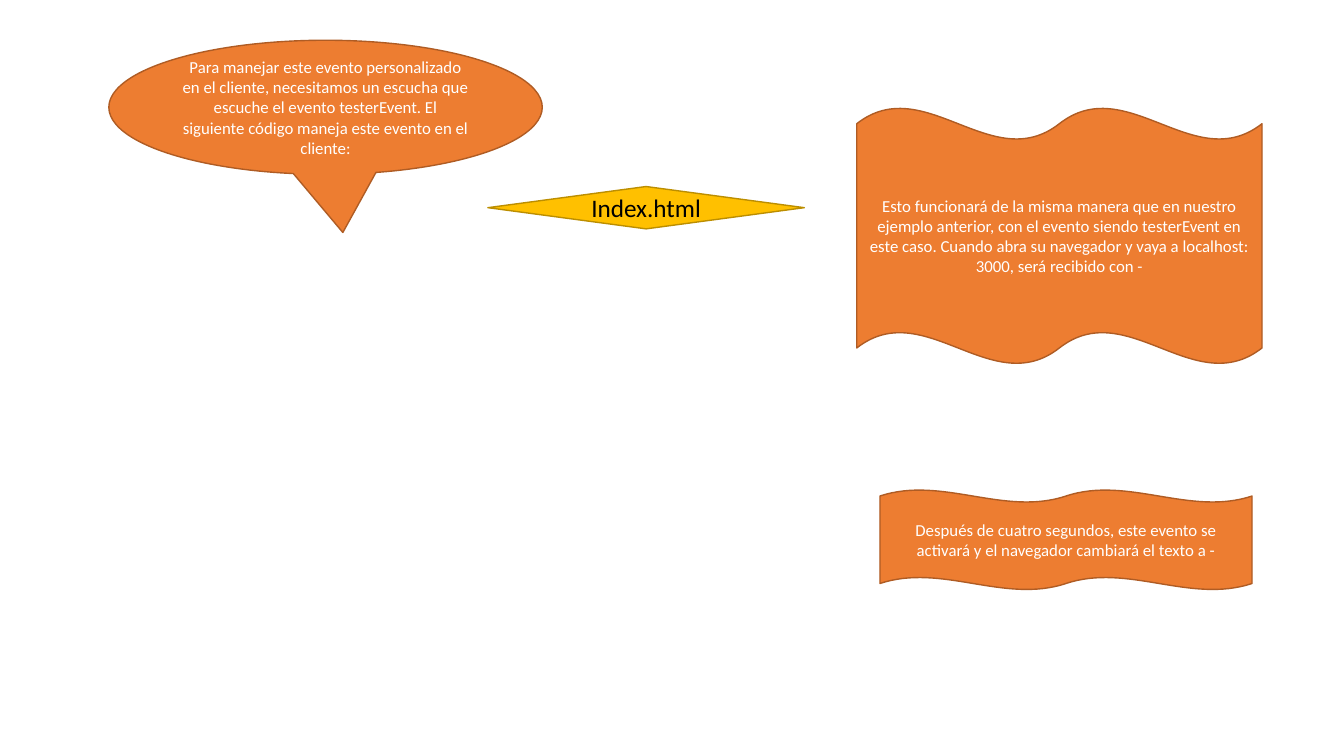
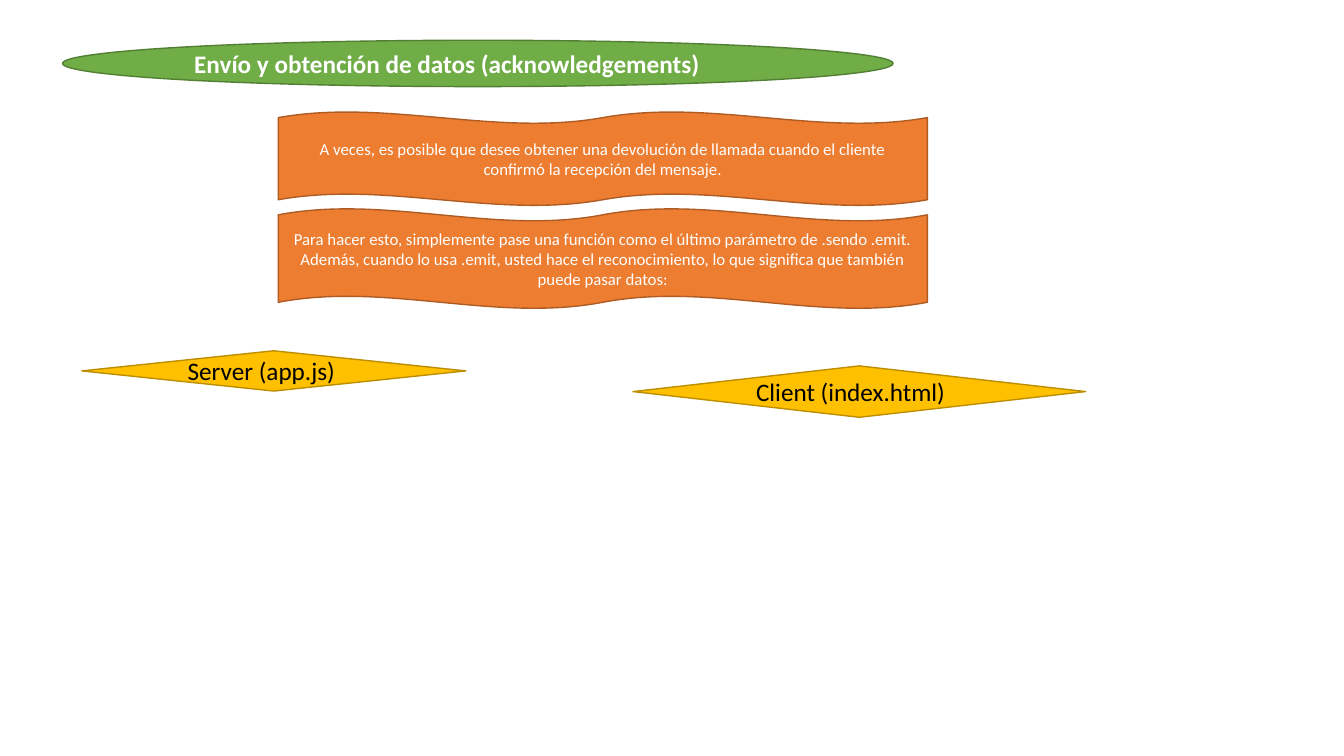
from math import cos, pi

from pptx import Presentation
from pptx.dml.color import RGBColor
from pptx.enum.shapes import MSO_SHAPE as Preset
from pptx.enum.text import MSO_ANCHOR as Anchor, MSO_AUTO_SIZE as AutoSize, PP_ALIGN as Align
from pptx.util import Inches, Pt

FONT = "Calibri"
ORANGE, DARK_ORANGE = "ED7D31", "AF5C24"
GOLD, DARK_GOLD = "FFC000", "BC8E00"
GREEN, DARK_GREEN = "70AD47", "527F34"
WHITE, BLACK = "FFFFFF", "000000"

STYLES = {
    "callout": (Preset.OVAL_CALLOUT, ORANGE, DARK_ORANGE, 12, WHITE),
    "wave": (Preset.DOUBLE_WAVE, ORANGE, DARK_ORANGE, 12, WHITE),
    "file": (Preset.FLOWCHART_DECISION, GOLD, DARK_GOLD, 18, BLACK),
    "heading": (Preset.OVAL, GREEN, DARK_GREEN, 18, WHITE),
}
ADJUSTMENTS = {"callout": (0.04, 0.934), "wave": (0.062, 0)}


def color(hex_string):
    return RGBColor.from_string(hex_string)


def write_text(shape, text, size=12, hex_color=WHITE, bold=False, align=Align.CENTER):
    frame = shape.text_frame
    frame.word_wrap = True
    frame.auto_size = AutoSize.NONE
    frame.vertical_anchor = Anchor.MIDDLE
    frame.margin_left = frame.margin_right = Inches(0.1)
    frame.margin_top = frame.margin_bottom = Inches(0.05)
    frame.text = text
    paragraph = frame.paragraphs[0]
    paragraph.alignment = align
    paragraph.line_spacing = 1
    paragraph.space_before = Pt(0)
    font = paragraph.runs[0].font
    font.name = FONT
    font.size = Pt(size)
    font.bold = bold
    font.color.rgb = color(hex_color)


presentation = Presentation()
presentation.slide_width = Inches(13.333)
presentation.slide_height = Inches(7.5)
COLUMN = presentation.slide_width / 100
ROW = presentation.slide_height / 100

TOP = 5.33
WAVE_LEFT, WAVE_WIDTH, WAVE_TOP, WAVE_GAP = 20.7, 48.3, 14.8, 0.4
FIRST_WAVE, SECOND_WAVE = 12.4, 13.2

TITLE_ONLY, BLANK = 5, 6
SLIDES = [
    (BLANK, [
        ("callout", (8.1, TOP, 32.25, 17.73), Align.CENTER,
         "Para manejar este evento personalizado en el cliente, necesitamos un escucha que "
         "escuche el evento testerEvent. El siguiente código maneja este evento en el cliente:"),
        ("wave", (63.75, 14.27, 30.15, 33.87), Align.CENTER,
         "Esto funcionará de la misma manera que en nuestro ejemplo anterior, con el evento "
         "siendo testerEvent en este caso. Cuando abra su navegador y vaya a localhost: 3000, "
         "será recibido con -"),
        ("wave", (65.48, 64.8, 27.68, 13.2), Align.CENTER,
         "Después de cuatro segundos, este evento se activará y el navegador cambiará el texto a -"),
        ("file", (36.3, 24.67, 23.55, 5.6), Align.CENTER, "Index.html"),
    ]),
    (TITLE_ONLY, [
        ("heading", (4.65, TOP, 61.8, 6.13), Align.LEFT,
         "Envío y obtención de datos (acknowledgements)"),
        ("wave", (WAVE_LEFT, WAVE_TOP, WAVE_WIDTH, FIRST_WAVE), Align.CENTER,
         "A veces, es posible que desee obtener una devolución de llamada cuando el cliente "
         "confirmó la recepción del mensaje."),
        ("wave", (WAVE_LEFT, WAVE_TOP + FIRST_WAVE + WAVE_GAP, WAVE_WIDTH, SECOND_WAVE), Align.CENTER,
         "Para hacer esto, simplemente pase una función como el último parámetro de .sendo .emit. "
         "Además, cuando lo usa .emit, usted hace el reconocimiento, lo que significa que también "
         "puede pasar datos:"),
        ("file", (6.08, 46.4, 28.58, 5.33), Align.LEFT, "Server (app.js)"),
        ("file", (47.1, 48.4, 33.68, 6.8), Align.LEFT, "Client (index.html)"),
    ]),
]

for layout, items in SLIDES:
    slide = presentation.slides.add_slide(presentation.slide_layouts[layout])
    for kind, (left, top, width, height), align, text in items:
        preset, fill, line, size, text_color = STYLES[kind]
        shape = slide.shapes.add_shape(
            preset, int(left * COLUMN), int(top * ROW), int(width * COLUMN), int(height * ROW))
        shape.shadow.inherit = False
        shape.fill.solid()
        shape.fill.fore_color.rgb = color(fill)
        shape.line.color.rgb = color(line)
        shape.line.width = Pt(1)
        for index, value in enumerate(ADJUSTMENTS.get(kind, ())):
            shape.adjustments[index] = value
        if kind == "heading":
            title = slide.shapes.title
            inset = int(shape.width * (1 - cos(pi / 4)) / 2)
            title.left, title.top = shape.left + inset, shape.top
            title.width, title.height = shape.width - 2 * inset, shape.height
            shape.element.addnext(title.element)
            shape = title
        write_text(shape, text, size=size, hex_color=text_color, bold=kind == "heading", align=align)

presentation.save("out.pptx")
